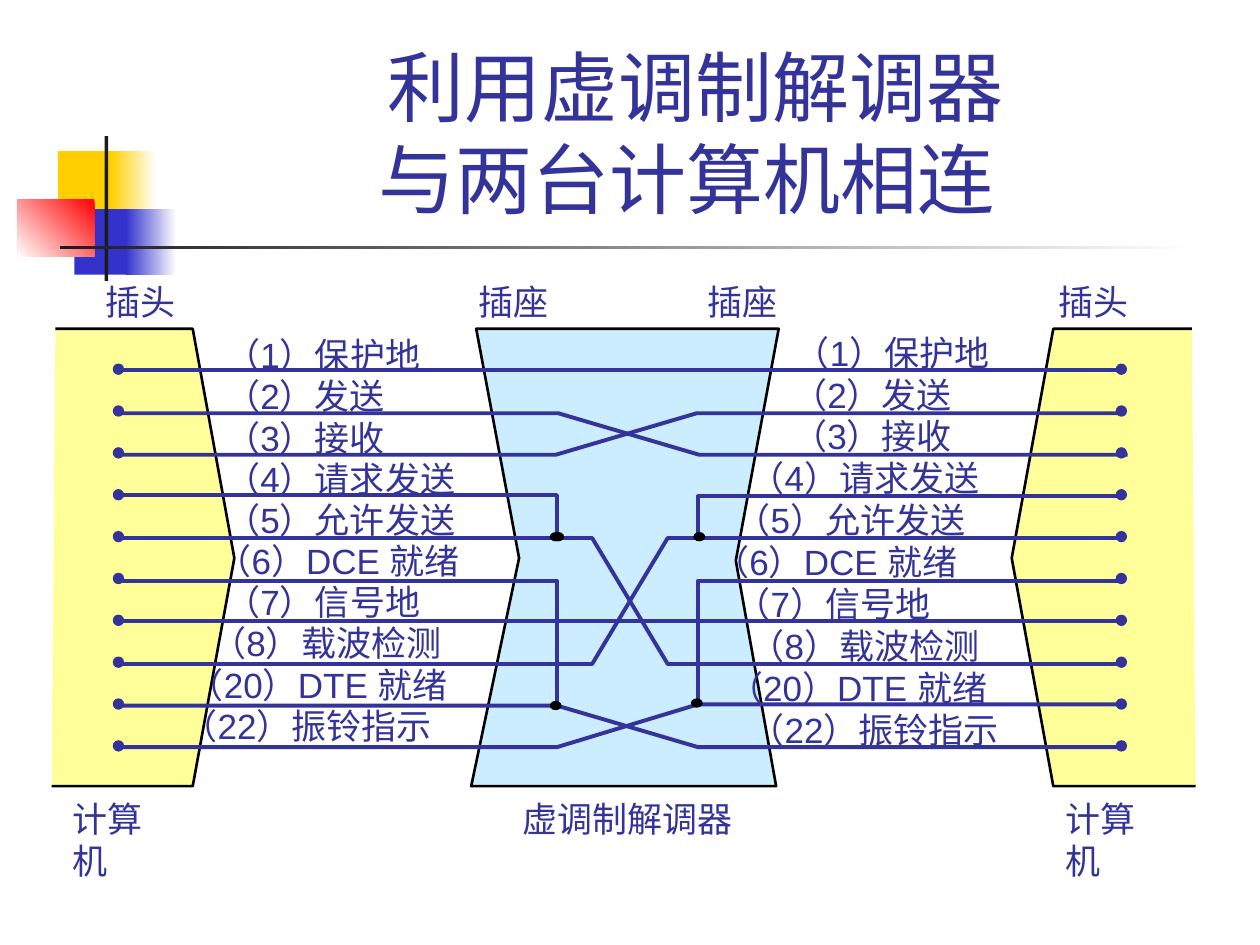
from pptx import Presentation
from pptx.dml.color import RGBColor
from pptx.enum.shapes import MSO_CONNECTOR as Connector, MSO_SHAPE as Preset
from pptx.enum.text import MSO_ANCHOR as Anchor, MSO_AUTO_SIZE as AutoSize, PP_ALIGN as Align
from pptx.oxml import parse_xml
from pptx.oxml.ns import nsdecls
from pptx.util import Inches, Pt

COLORS = {
    "ink": "333399", "black": "000000", "white": "FFFFFF", "gold": "FFCF01",
    "blue": "3333CC", "red": "FF0000", "bar": "1C1C1C",
    "computer": "FFFF99", "modem": "CCECFF",
}


def rgb(name):
    return RGBColor.from_string(COLORS[name])


class SlideBuilder:
    font_name = "Arial"
    wire_width = 2.25

    def __init__(self, slide):
        self.slide = slide

    def set_attributes(self, target, values):
        for name, value in values.items():
            setattr(target, name, value)

    def finish(self, shape, fill=None, line=None, width=1.0):
        shape.shadow.inherit = False
        if fill:
            shape.fill.solid()
            shape.fill.fore_color.rgb = rgb(fill)
        else:
            shape.fill.background()
        if line:
            shape.line.color.rgb = rgb(line)
            shape.line.width = Pt(width)
        else:
            shape.line.fill.background()

    def preset(self, kind, box, fill, line=None, width=1.0, parent=None):
        shapes = (parent or self.slide).shapes
        shape = shapes.add_shape(kind, *map(Inches, box))
        self.finish(shape, fill, line, width)
        return shape

    def gradient(self, box, start, end, angle):
        shape = self.preset(Preset.RECTANGLE, box, start)
        shape.fill.gradient()
        shape.fill.gradient_angle = angle
        for stop, color in zip(shape.fill.gradient_stops, (start, end)):
            stop.color.rgb = rgb(color)

    def outline(self, points, fill=None, line="ink", width=wire_width, close=False):
        first, *rest = [(Inches(x), Inches(y)) for x, y in points]
        builder = self.slide.shapes.build_freeform(*first)
        builder.add_line_segments(rest, close=close)
        self.finish(builder.convert_to_shape(), fill, line, width)

    def straight_wire(self, left, right, y):
        wire = self.slide.shapes.add_connector(
            Connector.STRAIGHT, Inches(left), Inches(y), Inches(right), Inches(y))
        wire.line.color.rgb = rgb("ink")
        wire.line.width = Pt(self.wire_width)
        wire._element.spPr.append(parse_xml(f"<a:effectLst {nsdecls('a')}/>"))

    def fill_text(self, frame, text, size, align):
        frame.text = text
        for paragraph in frame.paragraphs:
            paragraph.alignment = align
            for run in paragraph.runs:
                self.set_attributes(run.font, {"name": self.font_name, "size": Pt(size)})
                run.font.color.rgb = rgb("ink")

    def title(self, text, box):
        title = self.slide.shapes.title
        names = ("left", "top", "width", "height")
        self.set_attributes(title, dict(zip(names, map(Inches, box))))
        self.set_attributes(title.text_frame, {
            "vertical_anchor": Anchor.BOTTOM, "auto_size": AutoSize.NONE, "word_wrap": True})
        self.fill_text(title.text_frame, text, 44, Align.CENTER)

    def label(self, text, left, top, width):
        box = self.slide.shapes.add_textbox(*map(Inches, (left, top, width, 0.43)))
        self.set_attributes(box.text_frame, {
            "word_wrap": False, "auto_size": AutoSize.SHAPE_TO_FIT_TEXT})
        self.fill_text(box.text_frame, text, 20, Align.LEFT)

    def pins(self, left, parent=None):
        for row in range(10):
            box = (left, 2.89 + row * 2.99 / 9, 0.08, 0.08)
            self.preset(Preset.OVAL, box, "ink", "ink", 0.75, parent)


CAPTIONS = [
    ("插头", 0.74, 2.18, 0.76), ("插头", 8.3, 2.18, 0.76),
    ("插座", 3.7, 2.18, 0.76), ("插座", 5.52, 2.18, 0.76),
    ("计算机", 0.48, 6.28, 1.03), ("虚调制解调器", 4.05, 6.28, 1.87),
    ("计算机", 8.36, 6.28, 1.03),
]

SIGNALS = [
    ("（1）保护地", 1.69, 6.21, 1.88),
    ("（2）发送", 1.69, 6.19, 1.6),
    ("（3）接收", 1.69, 6.19, 1.6),
    ("（4）请求发送", 1.69, 5.85, 2.16),
    ("（5）允许发送", 1.69, 5.74, 2.16),
    ("（6）DCE 就绪", 1.62, 5.57, 2.4),
    ("（7）信号地", 1.69, 5.74, 1.88),
    ("（8）载波检测", 1.58, 5.85, 2.16),
    ("（20）DTE 就绪", 1.4, 5.68, 2.52),
    ("（22）振铃指示", 1.35, 5.85, 2.31),
]

CROSSED_WIRES = [
    ((0.97, 4.43, 5.55, 8.95), 3.28, 3.61),
    ((0.95, 4.41, 5.53, 8.93), 3.61, 3.28),
    ((0.97, 4.42, 5.54, 8.93), 5.93, 5.59),
    ((0.97, 4.42, 5.54, 8.93), 5.6, 5.93),
    ((0.97, 4.7, 5.3, 8.93), 5.27, 4.27),
    ((0.97, 4.7, 5.3, 8.93), 4.27, 5.27),
]

BRANCH_WIRES = [
    (0.97, 4.42, 4.61, 5.6), (8.93, 5.54, 4.61, 5.58),
    (0.97, 4.42, 3.93, 4.27), (8.93, 5.54, 3.94, 4.28),
]

JUNCTIONS = [(4.39, 4.23), (4.37, 4.23), (5.51, 4.23), (5.49, 5.55), (4.37, 5.57)]


def draw_ornament(builder):
    builder.preset(Preset.RECTANGLE, (0.46, 1.2, 0.48, 0.52), "gold")
    builder.gradient((0.88, 1.2, 0.36, 0.52), "white", "gold", 180)
    builder.preset(Preset.RECTANGLE, (0.59, 1.66, 0.46, 0.52), "blue")
    builder.gradient((1, 1.66, 0.4, 0.52), "white", "blue", 180)
    builder.gradient((0.14, 1.58, 0.61, 0.46), "red", "white", 225)
    builder.preset(Preset.RECTANGLE, (0.83, 1.08, 0.03, 1.15), "bar")
    builder.gradient((0.48, 1.95, 9, 0.03), "white", "bar", 180)


def draw_devices(builder):
    top, middle, bottom = 2.61, 4.43, 6.24
    for upper, edge, tip, lower in [(0.44, 1.53, 1.86, 0.41), (9.46, 8.36, 8.03, 9.49)]:
        points = [(upper, top), (edge, top), (tip, middle), (edge, bottom), (lower, bottom)]
        builder.outline(points, "computer", "black", 1.5)
    modem = [(3.78, top), (4.12, middle), (3.74, bottom),
             (6.16, bottom), (5.84, 4.45), (6.18, top)]
    builder.outline(modem, "modem", "black", 1.5, close=True)


def draw_wires(builder):
    for y in (2.94, 4.93):
        builder.straight_wire(0.97, 8.93, y)
    for columns, start, end in CROSSED_WIRES:
        builder.outline(list(zip(columns, (start, start, end, end))))
    for pin, corner, start, end in BRANCH_WIRES:
        builder.outline([(pin, start), (corner, start), (corner, end)])
    for left, top in JUNCTIONS:
        builder.preset(Preset.OVAL, (left, top, 0.08, 0.06), "black", "black")


def draw_labels(builder):
    for caption in CAPTIONS:
        builder.label(*caption)
    for row, (text, left, right, width) in enumerate(SIGNALS):
        builder.label(text, left, 2.6 + row * 2.94 / 9, width)
        builder.label(text, right, 2.58 + row * 2.99 / 9, width)


def main():
    presentation = Presentation()
    presentation.slide_width, presentation.slide_height = Inches(10), Inches(7.5)
    slide = presentation.slides.add_slide(presentation.slide_layouts[5])
    builder = SlideBuilder(slide)
    draw_ornament(builder)
    builder.title("利用虚调制解调器\v与两台计算机相连 ", (1.26, 0.23, 8.52, 1.6))
    draw_devices(builder)
    draw_wires(builder)
    draw_labels(builder)
    builder.pins(0.9)
    builder.pins(8.86, slide.shapes.add_group_shape())
    presentation.save("out.pptx")


if __name__ == "__main__":
    main()
